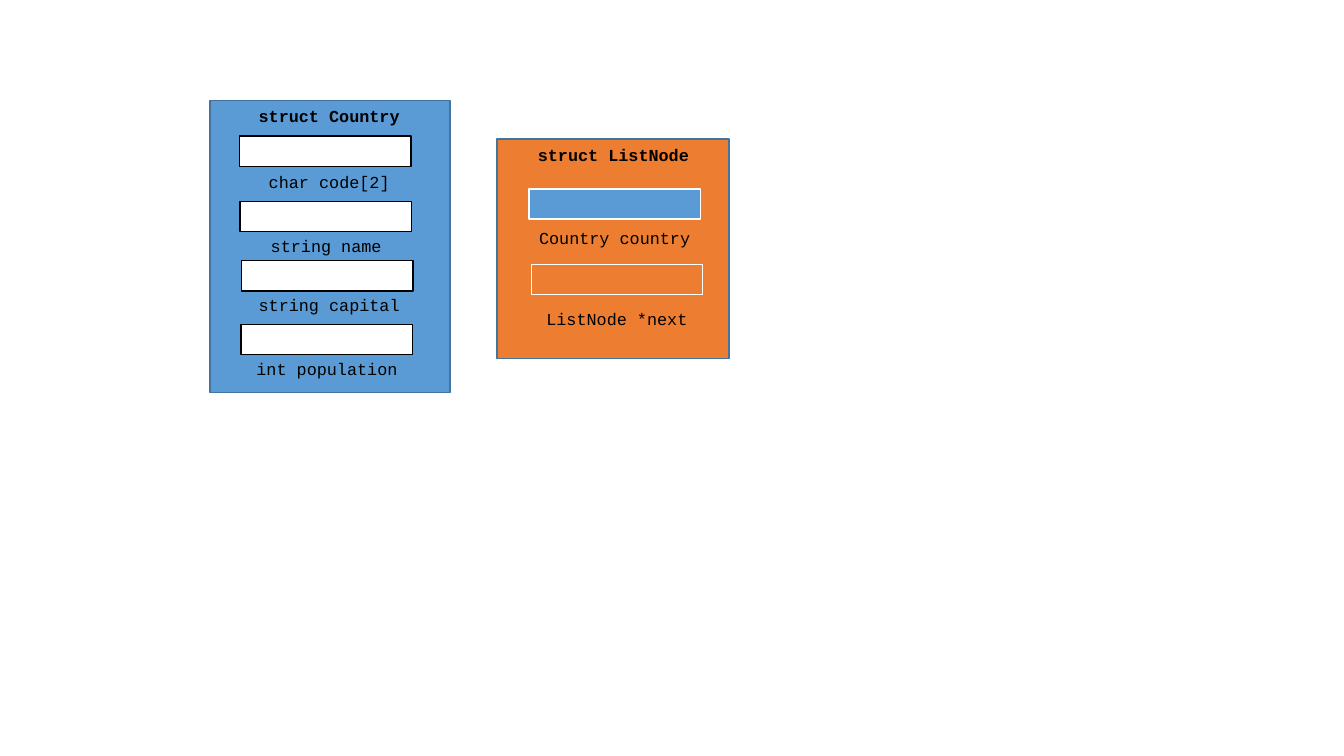
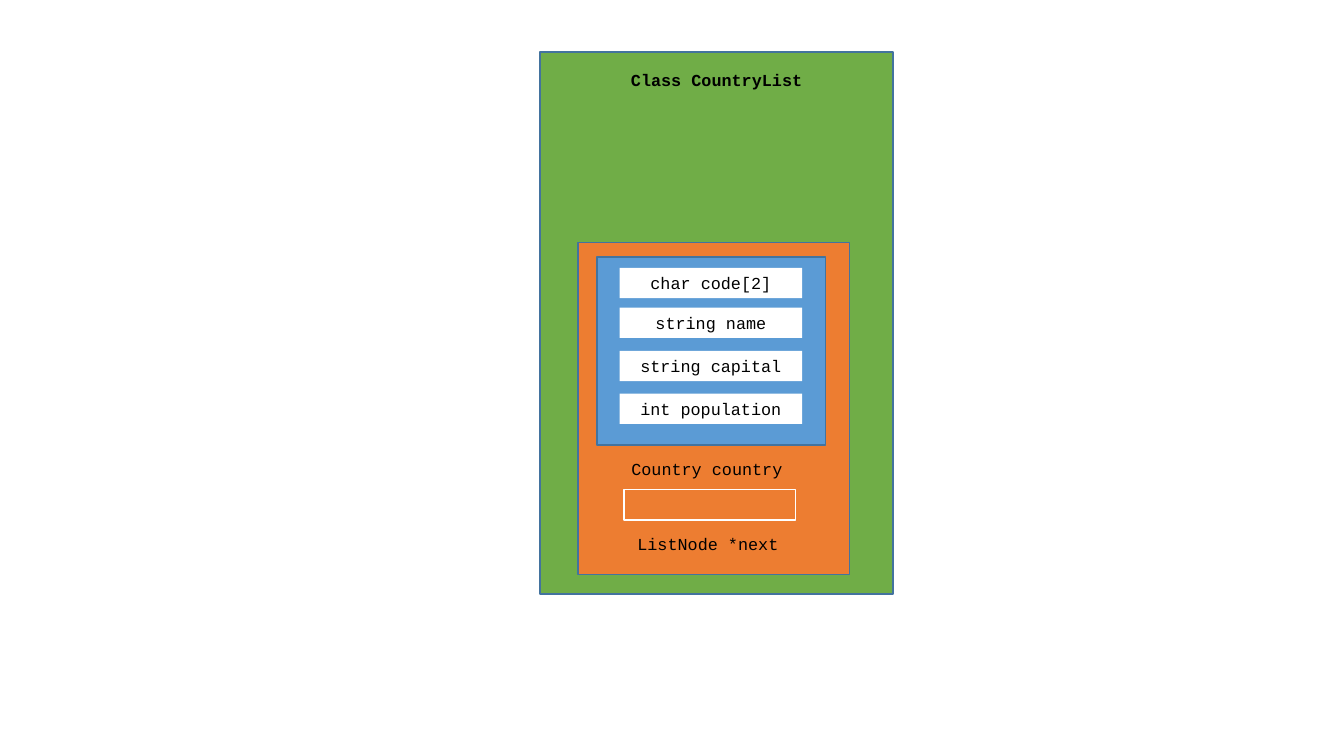
from dataclasses import dataclass

from pptx import Presentation
from pptx.dml.color import RGBColor
from pptx.enum.shapes import MSO_SHAPE as Preset
from pptx.enum.text import MSO_ANCHOR as Anchor, MSO_AUTO_SIZE as AutoSize, PP_ALIGN as Align
from pptx.util import Pt


@dataclass(frozen=True)
class Theme:
    country: str = "5B9BD5"
    node: str = "ED7D31"
    country_list: str = "70AD47"
    border: str = "43739E"
    white: str = "FFFFFF"
    black: str = "000000"
    font: str = "Courier New"
    size: int = 12
    line_width: int = 1
    row_height: float = 21.6
    slot_width: float = 122.4
    label_width: float = 130.3


THEME = Theme()
COUNTRY_FIELDS = ("char code[2]", "string name", "string capital", "int population")
NODE_FIELDS = ("Country country", "ListNode *next")


def add_box(page, left, top, width, height, fill, line=None):
    box = page.shapes.add_shape(Preset.RECTANGLE, Pt(left), Pt(top), Pt(width), Pt(height))
    box.shadow.inherit = False
    box.fill.solid()
    box.fill.fore_color.rgb = RGBColor.from_string(fill)
    if line:
        box.line.color.rgb = RGBColor.from_string(line)
        box.line.width = Pt(THEME.line_width)
    else:
        box.line.fill.background()
    return box


def add_panel(page, left, top, width, height, fill):
    add_box(page, left, top, width, height, fill, THEME.border)


def add_slot(page, left, top, fill, line):
    add_box(page, left, top, THEME.slot_width, THEME.row_height, fill, line)


def write(box, text, bold=False):
    frame = box.text_frame
    frame.word_wrap = True
    frame.auto_size = AutoSize.SHAPE_TO_FIT_TEXT
    frame.vertical_anchor = Anchor.TOP
    para = frame.paragraphs[0]
    para.text = text
    para.alignment = Align.CENTER
    font = para.runs[0].font
    font.name = THEME.font
    font.size = Pt(THEME.size)
    font.bold = bold
    font.color.rgb = RGBColor.from_string(THEME.black)


def add_label(page, left, top, text, bold=False, width=THEME.label_width):
    box = page.shapes.add_textbox(Pt(left), Pt(top), Pt(width), Pt(THEME.row_height))
    write(box, text, bold)


def add_field(page, left, top, text):
    box = add_box(page, left, top, THEME.label_width, THEME.row_height, THEME.white)
    write(box, text)


def add_page(deck):
    return deck.slides.add_slide(deck.slide_layouts[6])


def build_structs(deck):
    page = add_page(deck)
    add_panel(page, 150, 72, 171.4, 208.2, THEME.country)
    add_label(page, 170, 72, "struct Country", bold=True)
    slots = ((171.2, 97.2), (171.5, 144), (172.6, 186.3), (172.3, 231.8))
    labels = ((170, 118.8), (167.8, 165), (170, 207.2), (168.4, 252.8))
    for slot, label, text in zip(slots, labels, COUNTRY_FIELDS):
        add_slot(page, *slot, THEME.white, THEME.black)
        add_label(page, *label, text)

    add_panel(page, 355, 99.2, 165.8, 157, THEME.node)
    add_label(page, 373, 100, "struct ListNode", bold=True)
    slots = ((378, 135, THEME.country), (379.6, 189, THEME.node))
    labels = ((373.9, 159.2), (375.5, 217))
    for (left, top, fill), label, text in zip(slots, labels, NODE_FIELDS):
        add_slot(page, left, top, fill, THEME.white)
        add_label(page, *label, text)


def build_class(deck):
    page = add_page(deck)
    add_panel(page, 385.8, 37.2, 252.2, 387, THEME.country_list)
    add_label(page, 429.8, 46.2, "Class CountryList", bold=True, width=164.2)

    add_panel(page, 412.8, 173.2, 193.8, 237.4, THEME.node)
    for label, text in zip(((439.8, 324), (440.5, 377.4)), NODE_FIELDS):
        add_label(page, *label, text)
    add_slot(page, 445.7, 349.8, THEME.node, THEME.white)

    add_panel(page, 426.4, 183.6, 163.4, 134.4, THEME.country)
    for top, text in zip((191.4, 219.8, 250.6, 281.2), COUNTRY_FIELDS):
        add_field(page, 442.6, top, text)


def main():
    deck = Presentation()
    deck.slide_width, deck.slide_height = Pt(960), Pt(540)
    build_structs(deck)
    build_class(deck)
    deck.save("out.pptx")


main()
